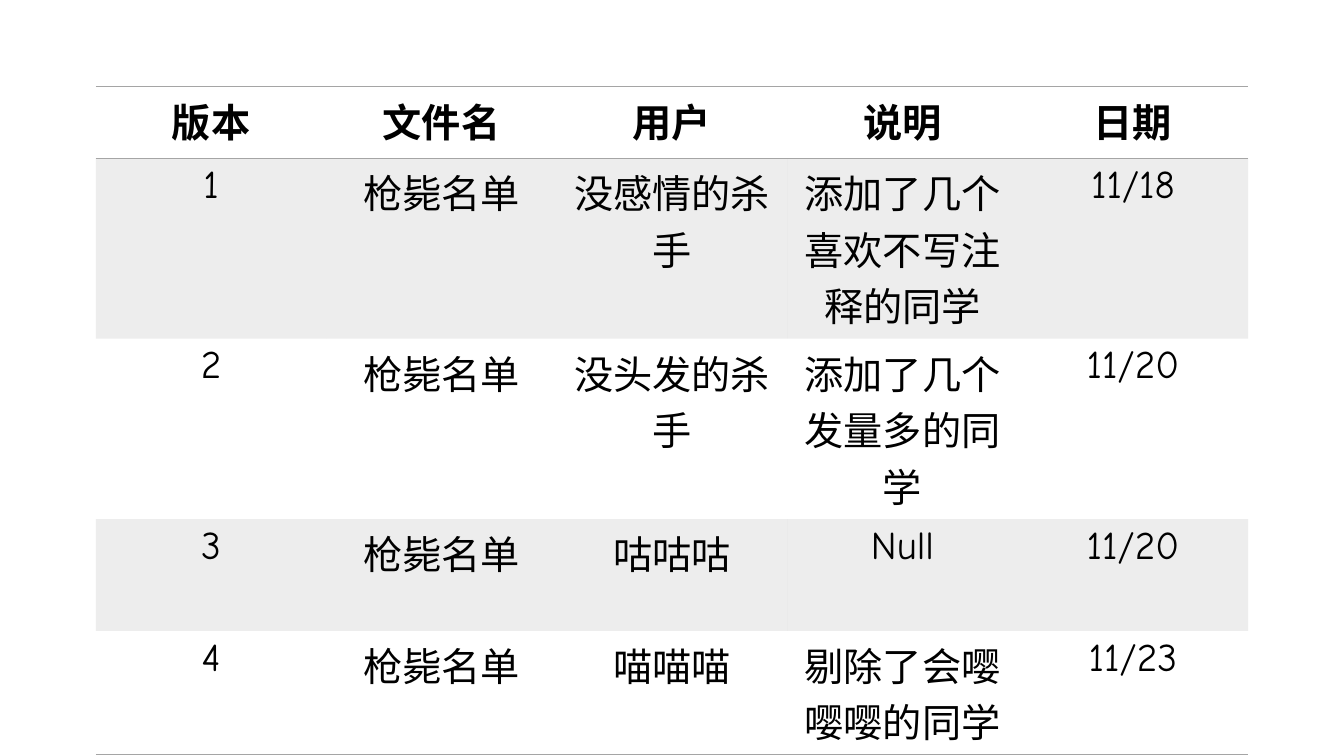
"""Build a slide with a version history table."""
from lxml.etree import SubElement
from pptx import Presentation
from pptx.dml.color import RGBColor
from pptx.enum.text import PP_ALIGN
from pptx.oxml.ns import qn
from pptx.util import Inches, Pt

BLACK = RGBColor(0x00, 0x00, 0x00)
GRAY = RGBColor(0xA5, 0xA5, 0xA5)
PLAIN_STYLE = "{2D5ABB26-0587-4C30-8999-92F81FD0307C}"

VERSIONS = [
    ("版本", "文件名", "用户", "说明", "日期"),
    ("1", "枪毙名单", "没感情的杀手", "添加了几个喜欢不写注释的同学", "11/18"),
    ("2", "枪毙名单", "没头发的杀手", "添加了几个发量多的同学", "11/20"),
    ("3", "枪毙名单", "咕咕咕", "Null", "11/20"),
    ("4", "枪毙名单", "喵喵喵", "剔除了会嘤嘤嘤的同学", "11/23"),
]
ROW_HEIGHTS = [0.71, 1.79, 1.79, 1.11, 1.22]
COLUMN_WIDTH = 2.286
RULES = {0: ("a:lnT", "a:lnB"), len(VERSIONS) - 1: ("a:lnB",)}


def add_rule(cell, side):
    line = SubElement(cell._tc.get_or_add_tcPr(), qn(side), w=str(Pt(1)))
    fill = SubElement(line, qn("a:solidFill"))
    SubElement(fill, qn("a:srgbClr"), val=str(GRAY))


def shade(cell):
    cell.fill.solid()
    cell.fill.fore_color.rgb = GRAY
    color = cell._tc.tcPr.find(qn("a:solidFill")).find(qn("a:srgbClr"))
    SubElement(color, qn("a:alpha"), val="20000")


prs = Presentation()
prs.slide_width, prs.slide_height = Inches(13.33), Inches(7.5)
slide = prs.slides.add_slide(prs.slide_layouts[6])

history = slide.shapes.add_table(
    len(VERSIONS), len(VERSIONS[0]), Inches(0.95), Inches(0.86),
    Inches(COLUMN_WIDTH * len(VERSIONS[0])), Inches(sum(ROW_HEIGHTS)),
).table
history._tbl.tblPr.find(qn("a:tableStyleId")).text = PLAIN_STYLE

for row, (version, height) in enumerate(zip(VERSIONS, ROW_HEIGHTS)):
    history.rows[row].height = Inches(height)
    for column, entry in enumerate(version):
        cell = history.cell(row, column)
        cell.text = entry
        paragraph = cell.text_frame.paragraphs[0]
        paragraph.alignment = PP_ALIGN.CENTER
        paragraph.font.name = "Comic Neue"
        paragraph.font.size = Pt(28)
        paragraph.font.bold = row == 0
        paragraph.font.color.rgb = BLACK
        for side in RULES.get(row, ()):
            add_rule(cell, side)
        if row % 2:
            shade(cell)

prs.save("out.pptx")
